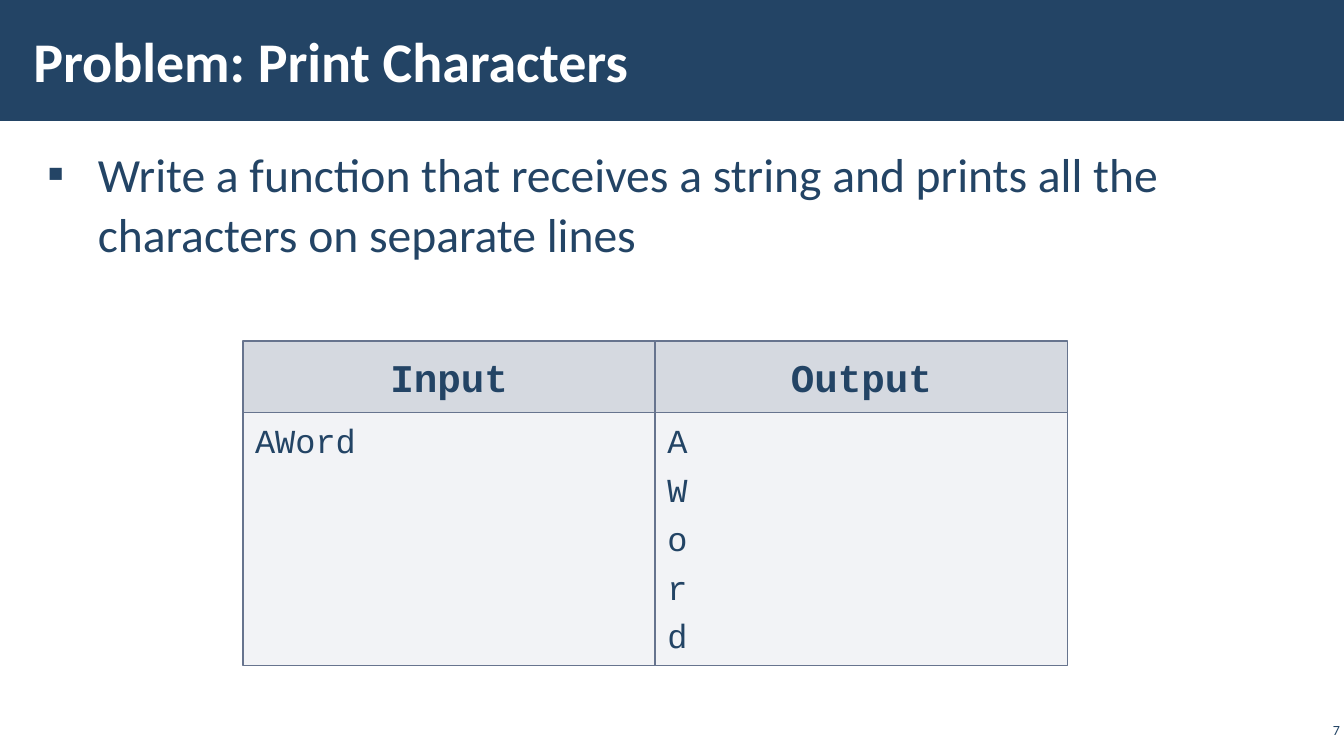
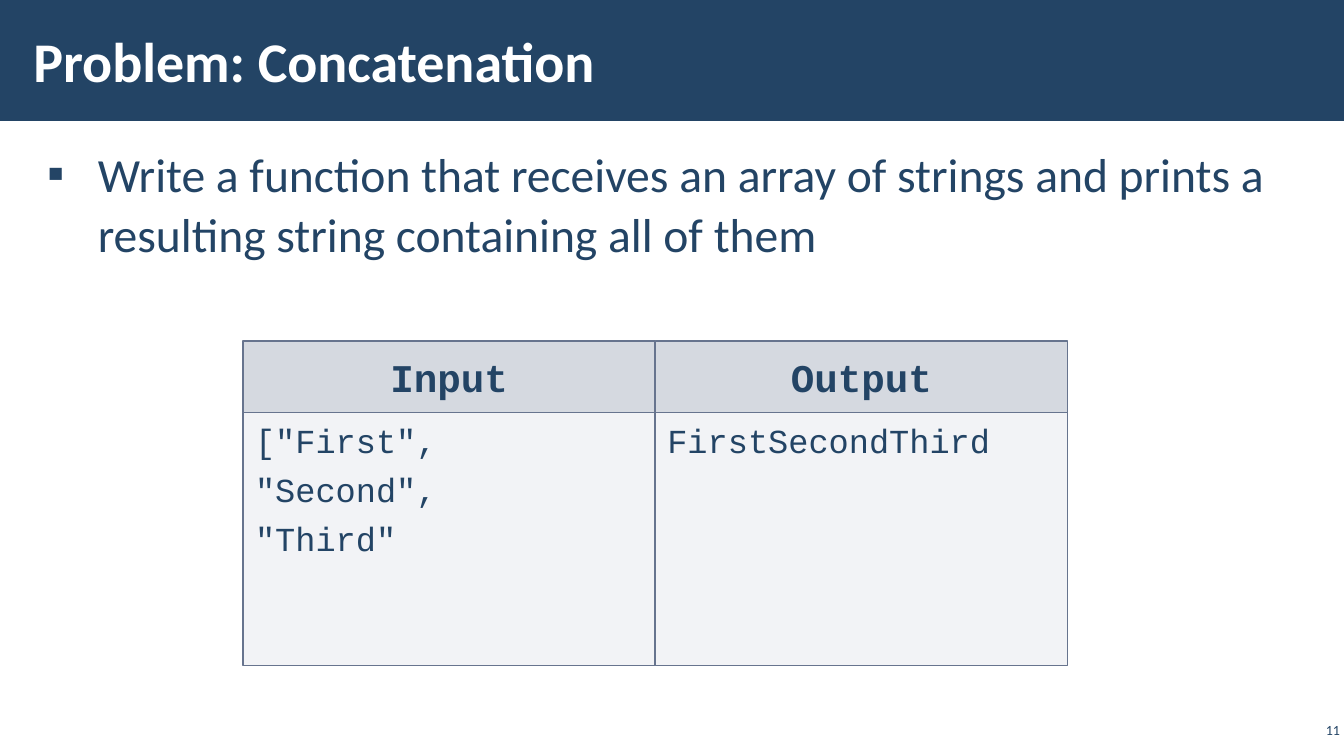
from lxml.etree import SubElement
from pptx import Presentation
from pptx.dml.color import RGBColor
from pptx.enum.shapes import MSO_SHAPE
from pptx.enum.text import MSO_ANCHOR, MSO_AUTO_SIZE, PP_ALIGN
from pptx.oxml.ns import qn
from pptx.util import Inches, Pt

COLORS = {"navy": "234465", "white": "FFFFFF", "cell": "ADB4C3", "edge": "67748E"}
SANS, MONO = "Calibri", "Courier New"
COLS, ROWS = 96, 54

# Table grid, in columns and rows
LEFT, TOP, WIDE = 17.35, 24.35, 29.45
HEAD, BODY = 5.1, 18.07


def color(name):
    return RGBColor.from_string(COLORS[name])


class Deck:
    """Holds the shared style and the current slide."""

    def __init__(self):
        self.prs = Presentation()
        self.prs.slide_width, self.prs.slide_height = Inches(13.33), Inches(7.5)
        self.layout = self.prs.slide_layouts[1]
        # Shared places of the title and the list
        title, body = list(self.layout.placeholders)[:2]
        self.place(title, 1.51, 0.79, 74.81, 6.98)
        self.place(body, 2.52, 9.86, 90.07, 14.54)
        self.slide = None

    def box(self, x, y, w, h):
        """Turn columns and rows into lengths."""
        col, row = self.prs.slide_width / COLS, self.prs.slide_height / ROWS
        return round(x * col), round(y * row), round(w * col), round(h * row)

    def place(self, shape, *area):
        shape.left, shape.top, shape.width, shape.height = self.box(*area)

    def start(self):
        first = self.slide is None
        self.slide = self.prs.slides.add_slide(self.layout)
        if first:
            self.band()

    def band(self):
        """Draw the title band once and move it to the layout."""
        band = self.rect(self.slide.shapes, (0, 0, COLS, 8.64), "navy")
        band.line.fill.background()
        band.element.nvSpPr.cNvPr.set("id", "99")
        self.layout.placeholders[0].element.addprevious(band.element)

    def rect(self, shapes, area, fill, alpha=None):
        shape = shapes.add_shape(MSO_SHAPE.RECTANGLE, *self.box(*area))
        shape.shadow.inherit = False
        shape.fill.solid()
        shape.fill.fore_color.rgb = color(fill)
        if alpha:
            tint = shape.element.spPr.xpath("./a:solidFill/a:srgbClr")[0]
            SubElement(tint, qn("a:alpha"), val=str(alpha * 1000))
        return shape

    def label(self, shape, lines, size, ink="navy", face=SANS, bold=False,
              align=PP_ALIGN.LEFT, anchor=MSO_ANCHOR.TOP, pad=(0.12, 0.04),
              before=0, after=0, space=1.0, bullet=None):
        frame = shape.text_frame
        frame.text = "\n".join(lines)
        frame.word_wrap = True
        frame.auto_size = MSO_AUTO_SIZE.NONE
        frame.vertical_anchor = anchor
        frame.margin_left = frame.margin_right = Inches(pad[0])
        frame.margin_top = frame.margin_bottom = Inches(pad[1])
        for para in frame.paragraphs:
            para.alignment = align
            para.line_spacing = space
            para.space_before, para.space_after = Pt(before), Pt(after)
        if bullet:
            for props in shape.element.xpath(".//a:pPr"):
                props.set("marL", str(Inches(0.5)))
                props.set("indent", str(-Inches(0.5)))
                SubElement(props, qn("a:buFont"), typeface=SANS)
                SubElement(props, qn("a:buChar"), char=bullet)
        for para in frame.paragraphs:
            font = para.font
            font.name, font.size, font.bold = face, Pt(size), bold
            font.color.rgb = color(ink)

    def title(self, text):
        self.label(self.slide.shapes.title, [text], 40, "white", bold=True,
                   anchor=MSO_ANCHOR.MIDDLE)

    def points(self, *lines):
        self.label(self.slide.placeholders[1], lines, 34, before=6, after=6,
                   space=1.05, bullet="▪")

    def number(self, page):
        area = self.box(92.59, 51.34, 3.41, 1.58)
        self.label(self.slide.shapes.add_textbox(*area), [str(page)], 10,
                   align=PP_ALIGN.RIGHT, anchor=MSO_ANCHOR.MIDDLE, pad=(0.04, 0.04))

    def cell(self, group, area, alpha, lines, size, **style):
        shape = self.rect(group.shapes, area, "cell", alpha)
        shape.line.color.rgb = color("edge")
        shape.line.width = Pt(1)
        self.label(shape, lines, size, face=MONO, **style)

    def sample(self, given, result):
        """Draw the input and output panels side by side."""
        for i, (head, lines) in enumerate((("Input", given), ("Output", result))):
            group = self.slide.shapes.add_group_shape()
            x = LEFT + i * WIDE
            self.cell(group, (x, TOP + HEAD, WIDE, BODY), 15, lines, 24,
                      before=6, pad=(0.12, 0.08))
            self.cell(group, (x, TOP, WIDE, HEAD), 50, [head], 28, bold=True,
                      align=PP_ALIGN.CENTER, pad=(0.12, 0.12))


# Slide content: page, title, task, input lines, output lines
TASKS = [
    (7, "Problem: Print Characters",
     "Write a function that receives a string and prints all the "
     "characters on separate lines",
     ["AWord"], list("AWord")),
    (11, "Problem: Concatenation",
     "Write a function that receives an array of strings and prints a "
     "resulting string containing all of them",
     ['["First",', '"Second",', '"Third"'], ["FirstSecondThird"]),
]


def main():
    deck = Deck()
    for page, title, task, given, result in TASKS:
        deck.start()
        deck.title(title)
        deck.points(task)
        deck.number(page)
        deck.sample(given, result)
    deck.prs.save("out.pptx")


if __name__ == "__main__":
    main()
